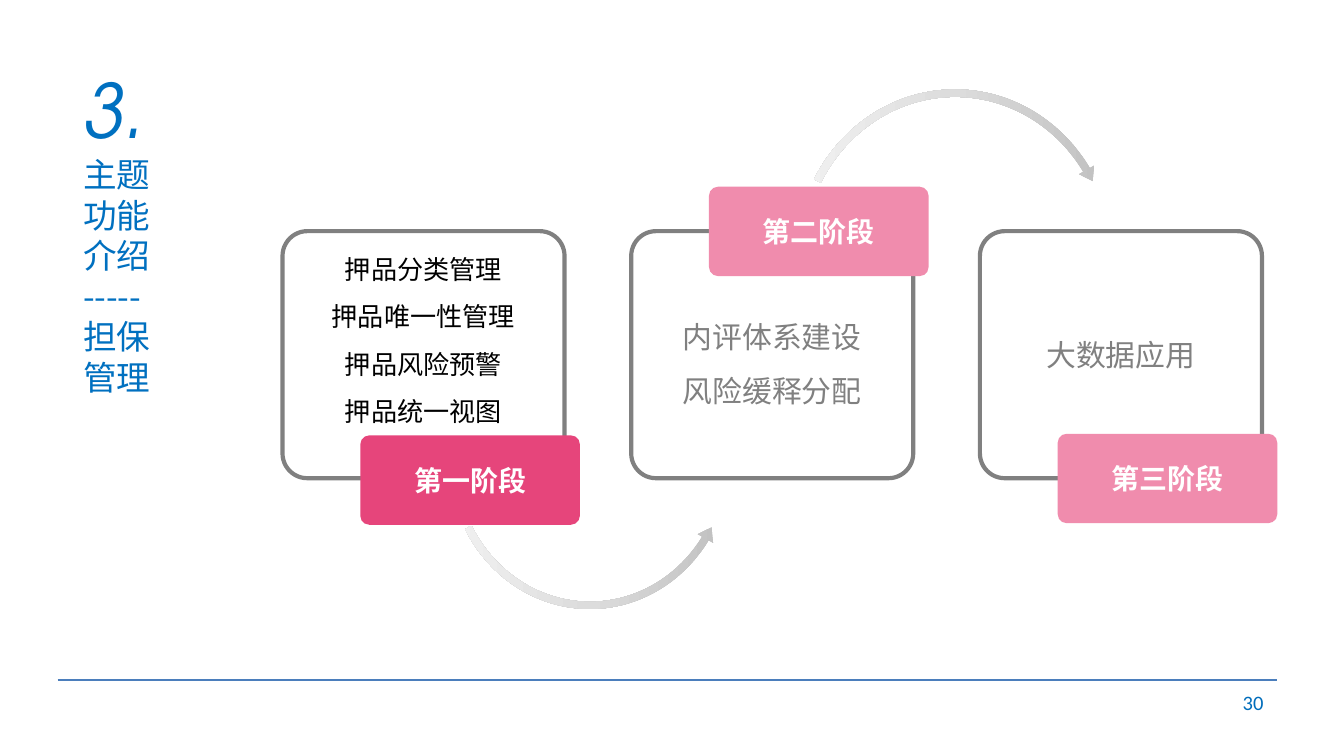
"""Build the slide on the three stages of collateral management."""
from copy import deepcopy
from dataclasses import dataclass

from lxml import etree
from pptx import Presentation
from pptx import util as u
from pptx.dml.color import RGBColor
from pptx.enum import shapes, text
from pptx.oxml.ns import qn


@dataclass(frozen=True)
class Theme:
    cjk: str = "Noto Sans CJK SC"
    number: str = "TeX Gyre Adventor"
    latin: str = "Calibri"
    title: str = "0070C0"
    page: str = "006DBB"
    rule: str = "4B7EBC"
    grey: str = "808080"
    black: str = "000000"
    white: str = "FFFFFF"
    active: str = "E6457B"
    muted: str = "F08CAD"
    fade: tuple = ("BEBEBE", "DCDCDC", "F3F3F3")
    number_size: int = 40
    title_size: int = 18
    body_size: int = 16
    list_size: int = 14
    badge_size: int = 15
    page_size: int = 11


theme = Theme()
center, right = text.PP_ALIGN.CENTER, text.PP_ALIGN.RIGHT


def write(shape, lines, size, color, face=theme.cjk, align=None, bold=False, spacing=None):
    """Fill a shape with evenly styled paragraphs."""
    frame = shape.text_frame
    frame.word_wrap = True
    frame.text = "\n".join(lines)
    for para in frame.paragraphs:
        para.alignment = align
        para.line_spacing = spacing
        for span in para.runs:
            span.font.size = u.Pt(size)
            span.font.bold = bold
            span.font.color.rgb = RGBColor.from_string(color)
            span.font.name = face
            etree.SubElement(span.font._element, qn("a:ea"), typeface=face)
    return frame


def add_card(page, left, top, width, height):
    """Add a rounded rectangle with centred, unpadded text."""
    card = page.shapes.add_shape(shapes.MSO_SHAPE.ROUNDED_RECTANGLE,
                                 u.Cm(left), u.Cm(top), u.Cm(width), u.Cm(height))
    card.adjustments[0] = 0.1
    card.shadow.inherit = False
    frame = card.text_frame
    frame.margin_left = frame.margin_right = frame.margin_top = frame.margin_bottom = 0
    frame.vertical_anchor = text.MSO_ANCHOR.MIDDLE
    return card


deck = Presentation()
deck.slide_width, deck.slide_height = u.Cm(25.4), u.Cm(14.29)
page = deck.slides.add_slide(deck.slide_layouts[6])

rule = page.shapes.add_connector(shapes.MSO_CONNECTOR.STRAIGHT,
                                 u.Cm(1.09), u.Cm(12.85), u.Cm(24.13), u.Cm(12.85))
rule.line.color.rgb = RGBColor.from_string(theme.rule)
rule.line.width = u.Pt(0.75)
etree.SubElement(rule._element.spPr, qn("a:effectLst"))

title = page.shapes.add_textbox(u.Cm(1.32), u.Cm(1.02), u.Cm(2.51), u.Cm(5.59))
frame = write(title, ["3.", "主题", "功能", "介绍", "-----", "担保", "管理"],
              theme.title_size, theme.title, spacing=u.Pt(21.7))
heading = frame.paragraphs[0]
heading.line_spacing = u.Pt(50)
heading.runs[0].font.size = u.Pt(theme.number_size)
heading.runs[0].font.name = theme.number
heading.runs[0].font.italic = True

number = page.shapes.add_textbox(u.Cm(18.21), u.Cm(12.9), u.Cm(5.92), u.Cm(0.76))
write(number, ["30"], theme.page_size, theme.page, theme.latin, right)
number.text_frame.vertical_anchor = text.MSO_ANCHOR.MIDDLE

first_left, pitch, badge_offset = 5.34, 6.59, 1.47
stages = [
    (["押品分类管理", "押品唯一性管理", "押品风险预警", "押品统一视图"],
     theme.list_size, theme.black, u.Pt(25.3), 0.85, "第一阶段", 8.23, theme.active),
    (["内评体系建设", "风险缓释分配"],
     theme.body_size, theme.grey, u.Pt(28.9), 0, "第二阶段", 3.53, theme.muted),
    (["大数据应用"],
     theme.body_size, theme.grey, None, 0, "第三阶段", 8.2, theme.muted),
]
for index, (lines, size, color, spacing, inset, *_) in enumerate(stages):
    box = add_card(page, first_left + index * pitch, 4.37, 5.33, 4.67)
    box.fill.background()
    box.line.color.rgb = RGBColor.from_string(theme.grey)
    box.line.width = u.Pt(2.25)
    write(box, lines, size, color, align=center, spacing=spacing).margin_bottom = u.Cm(inset)

arrows = [
    (shapes.MSO_SHAPE.LEFT_CIRCULAR_ARROW, (8.38, 5.72, 5.54, 5.89),
     (0.025, 3.09, 20.85, 90.25, 0.03)),
    (shapes.MSO_SHAPE.CIRCULAR_ARROW, (14.94, 1.6, 6.22, 6.6),
     (0.023, 2.74, 195.51, 125.76, 0.026)),
]
for kind, place, bends in arrows:
    arrow = page.shapes.add_shape(kind, *map(u.Cm, place))
    for index, bend in enumerate(bends):
        arrow.adjustments[index] = bend
    arrow.shadow.inherit = False
    arrow.line.fill.background()
    arrow.fill.gradient()
    arrow.fill.gradient_angle = 180
    stop_list = arrow._element.spPr.find(".//" + qn("a:gsLst"))
    stop_list.append(deepcopy(stop_list[0]))
    for index, (stop, color) in enumerate(zip(arrow.fill.gradient_stops, theme.fade)):
        stop.position = index / 2
        stop.color.rgb = RGBColor.from_string(color)

for index, (*_, label, top, color) in enumerate(stages):
    badge = add_card(page, first_left + badge_offset + index * pitch, top, 4.15, 1.69)
    badge.fill.solid()
    badge.fill.fore_color.rgb = RGBColor.from_string(color)
    badge.line.fill.background()
    write(badge, [label], theme.badge_size, theme.white, align=center, bold=True)

deck.save("out.pptx")
